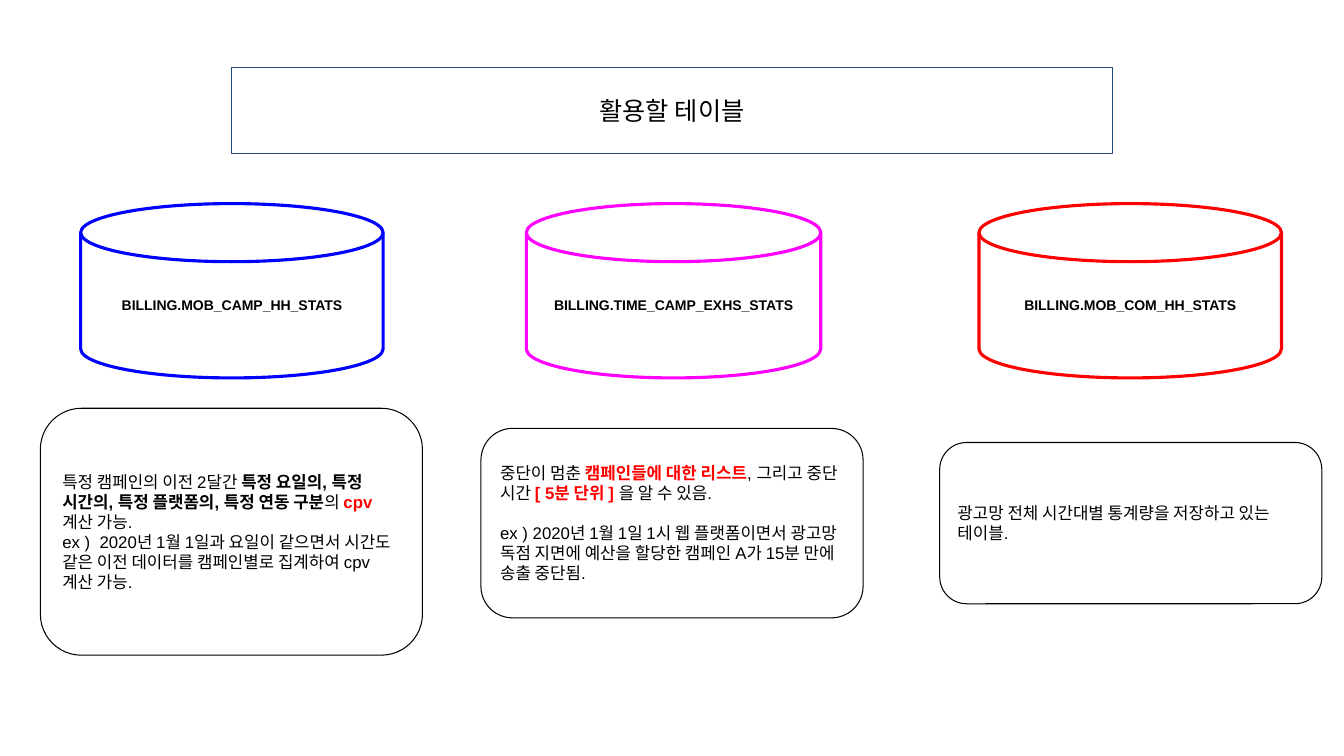
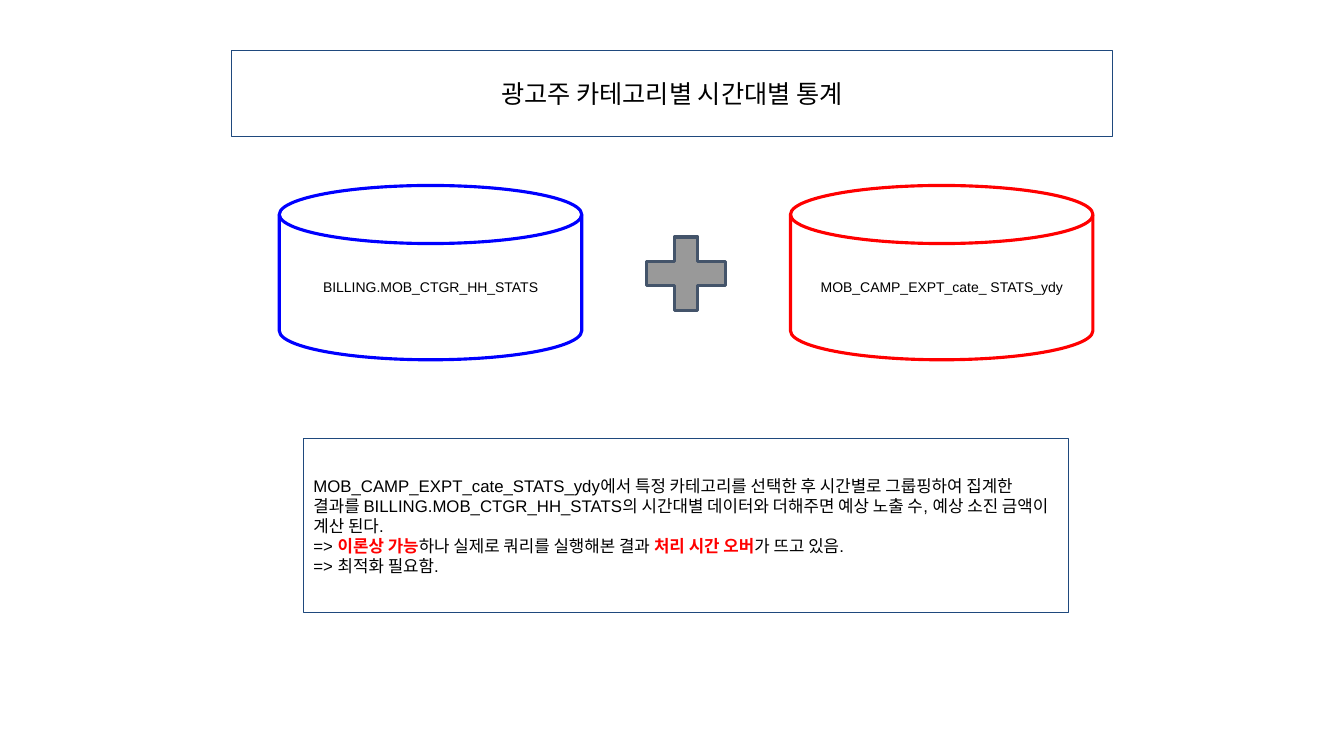
from dataclasses import dataclass

from pptx import Presentation
from pptx.dml.color import RGBColor
from pptx.enum.shapes import MSO_SHAPE
from pptx.enum.text import MSO_ANCHOR, PP_ALIGN
from pptx.shapes.autoshape import Shape
from pptx.slide import Slide
from pptx.util import Emu, Pt

PX = 9144
FONT = "Arial"
INSET = 10
CYLINDER_HEIGHT = 173
NOTE_WIDTH = 379
COLORS = {
    "black": "000000",
    "navy": "1F497D",
    "blue": "0000FF",
    "magenta": "FF00FF",
    "red": "FF0000",
    "gray": "999999",
    "slate": "44546A",
}


@dataclass(frozen=True)
class Span:
    text: str
    color: str = "black"
    bold: bool = False


@dataclass(frozen=True)
class Para:
    spans: tuple[Span, ...]
    space_before: int = 0


@dataclass(frozen=True)
class Box:
    left: int
    top: int
    width: int
    height: int


@dataclass(frozen=True)
class Cylinder:
    label: str
    color: str
    left: int
    width: int = 300


@dataclass(frozen=True)
class Note:
    box: Box
    paras: tuple[Para, ...]


def px(n: int) -> Emu:
    return Emu(n * PX)


def rgb(name: str) -> RGBColor:
    return RGBColor.from_string(COLORS[name])


def red(text: str) -> Span:
    return Span(text, "red", True)


def para(*spans: Span | str, space_before: int = 0) -> Para:
    return Para(tuple(Span(s) if isinstance(s, str) else s for s in spans), space_before)


def add_outline(slide: Slide, kind: MSO_SHAPE, box: Box, color: str, weight: float) -> Shape:
    sp = slide.shapes.add_shape(kind, px(box.left), px(box.top), px(box.width), px(box.height))
    sp.shadow.inherit = False
    sp.fill.background()
    sp.line.color.rgb = rgb(color)
    sp.line.width = Pt(weight)
    return sp


def write(sp: Shape, paras: tuple[Para, ...], size: int, align: PP_ALIGN) -> None:
    tf = sp.text_frame
    tf.word_wrap = True
    tf.vertical_anchor = MSO_ANCHOR.MIDDLE
    tf.margin_left = tf.margin_top = tf.margin_right = tf.margin_bottom = px(INSET)
    for i, item in enumerate(paras):
        p = tf.add_paragraph() if i else tf.paragraphs[0]
        p.alignment = align
        p.space_before = Pt(item.space_before)
        p.font.name = FONT
        p.font.size = Pt(size)
        p.font.color.rgb = rgb("black")
        for span in item.spans:
            r = p.add_run()
            r.text = span.text
            if span.bold:
                r.font.bold = True
            if span.color != "black":
                r.font.color.rgb = rgb(span.color)


def add_title(slide: Slide, text: str, top: int) -> None:
    sp = add_outline(slide, MSO_SHAPE.RECTANGLE, Box(230, top, 873, 85), "navy", 0.75)
    write(sp, (para(text),), 18, PP_ALIGN.CENTER)


def add_cylinders(slide: Slide, cylinders: tuple[Cylinder, ...], top: int, bold: bool) -> None:
    for c in cylinders:
        box = Box(c.left, top, c.width, CYLINDER_HEIGHT)
        sp = add_outline(slide, MSO_SHAPE.FLOWCHART_MAGNETIC_DISK, box, c.color, 2.25)
        write(sp, (para(Span(c.label, bold=bold)),), 10, PP_ALIGN.CENTER)


def add_note(slide: Slide, note: Note, kind: MSO_SHAPE, color: str) -> None:
    sp = add_outline(slide, kind, note.box, color, 0.75)
    write(sp, note.paras, 12, PP_ALIGN.LEFT)


def add_plus(slide: Slide, box: Box) -> None:
    sp = add_outline(slide, MSO_SHAPE.MATH_PLUS, box, "slate", 2.25)
    sp.adjustments[0] = 0.235
    sp.fill.solid()
    sp.fill.fore_color.rgb = rgb("gray")


TABLES = (
    Cylinder("BILLING.MOB_CAMP_HH_STATS", "blue", 80),
    Cylinder("BILLING.TIME_CAMP_EXHS_STATS", "magenta", 522, 292),
    Cylinder("BILLING.MOB_COM_HH_STATS", "red", 971),
)
TABLE_NOTES = (
    Note(Box(40, 405, NOTE_WIDTH, 245), (
        para(
            "특정 캠페인의 이전 2달간 ",
            Span("특정 요일의, 특정 시간의, 특정 플랫폼의, 특정 연동 구분", bold=True),
            "의 ",
            red("cpv"),
            "계산 가능.",
        ),
        para("ex )  2020년 1월 1일과 요일이 같으면서 시간도 같은 이전 데이터를 캠페인별로 집계하여 cpv 계산 가능."),
    )),
    Note(Box(477, 425, NOTE_WIDTH, 188), (
        para(
            "중단이 멈춘 ",
            red("캠페인들에 대한 리스트"),
            ", 그리고 중단 시간",
            red(" [ 5분 단위 ] "),
            "을 알 수 있음.",
        ),
        para(
            "ex ) 2020년 1월 1일 1시 웹 플랫폼이면서 광고망 독점 지면에 예산을 할당한 캠페인 A가 15분 만에 송출 중단됨.",
            space_before=14,
        ),
    )),
    Note(Box(932, 439, NOTE_WIDTH, 160), (
        para("광고망 전체 시간대별 통계량을 저장하고 있는 테이블."),
    )),
)
CATEGORY_TABLES = (
    Cylinder("BILLING.MOB_CTGR_HH_STATS", "blue", 277),
    Cylinder("MOB_CAMP_EXPT_cate_ STATS_ydy", "red", 784),
)
CATEGORY_NOTE = Note(Box(301, 435, 759, 173), (
    para(
        "MOB_CAMP_EXPT_cate_STATS_ydy에서 특정 카테고리를 선택한 후 시간별로 그룹핑하여 집계한 결과를 "
        "BILLING.MOB_CTGR_HH_STATS의 시간대별 데이터와 더해주면 예상 노출 수, 예상 소진 금액이 계산 된다."
    ),
    para(
        "=> ",
        red("이론상 가능"),
        "하나 실제로 쿼리를 실행해본 결과 ",
        red("처리 시간 오버"),
        "가 뜨고 있음.",
    ),
    para("=> 최적화 필요함."),
))


def build_tables(slide: Slide) -> None:
    add_title(slide, "활용할 테이블", 67)
    add_cylinders(slide, TABLES, 202, bold=True)
    for note in TABLE_NOTES:
        add_note(slide, note, MSO_SHAPE.FLOWCHART_ALTERNATE_PROCESS, "black")


def build_categories(slide: Slide) -> None:
    add_title(slide, "광고주 카테고리별 시간대별 통계", 50)
    add_cylinders(slide, CATEGORY_TABLES, 184, bold=False)
    add_plus(slide, Box(627, 222, 107, 99))
    add_note(slide, CATEGORY_NOTE, MSO_SHAPE.RECTANGLE, "navy")


def main() -> None:
    prs = Presentation()
    prs.slide_width = px(1333)
    prs.slide_height = px(750)
    for build in (build_tables, build_categories):
        build(prs.slides.add_slide(prs.slide_layouts[6]))
    prs.save("out.pptx")


if __name__ == "__main__":
    main()
